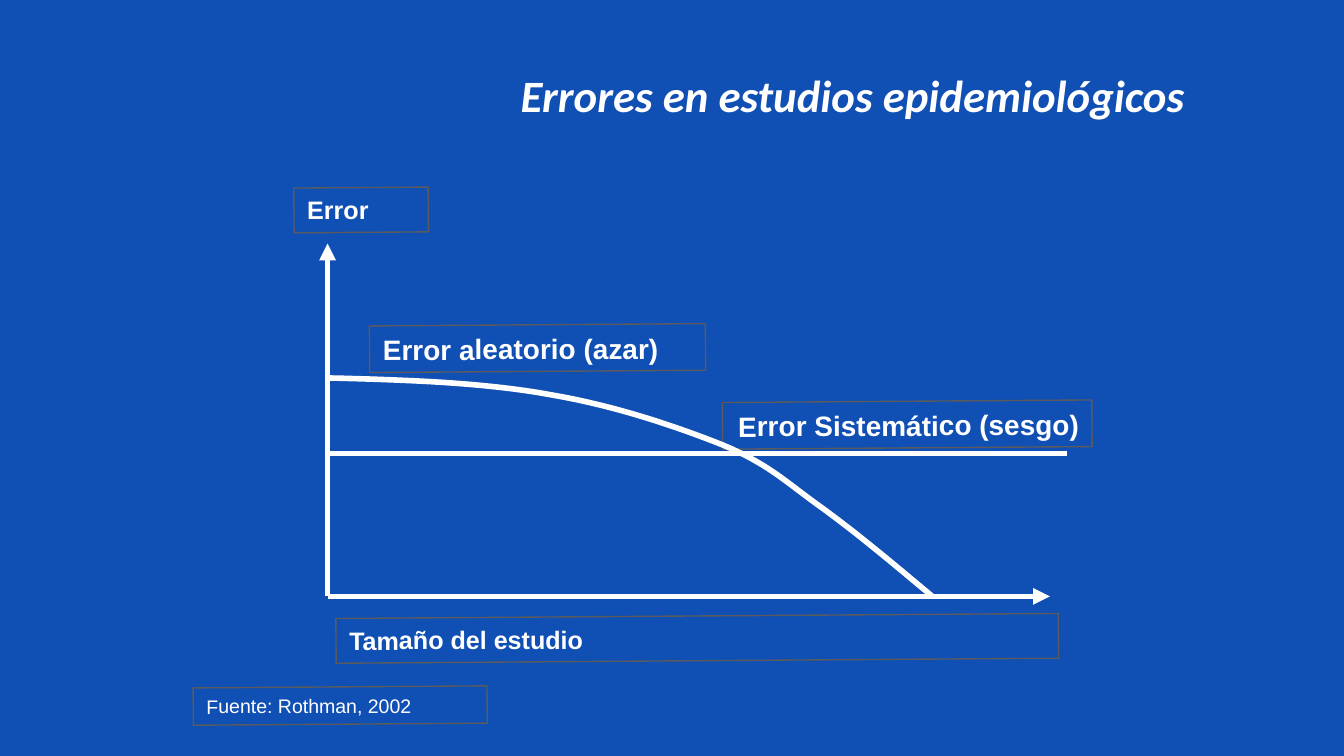
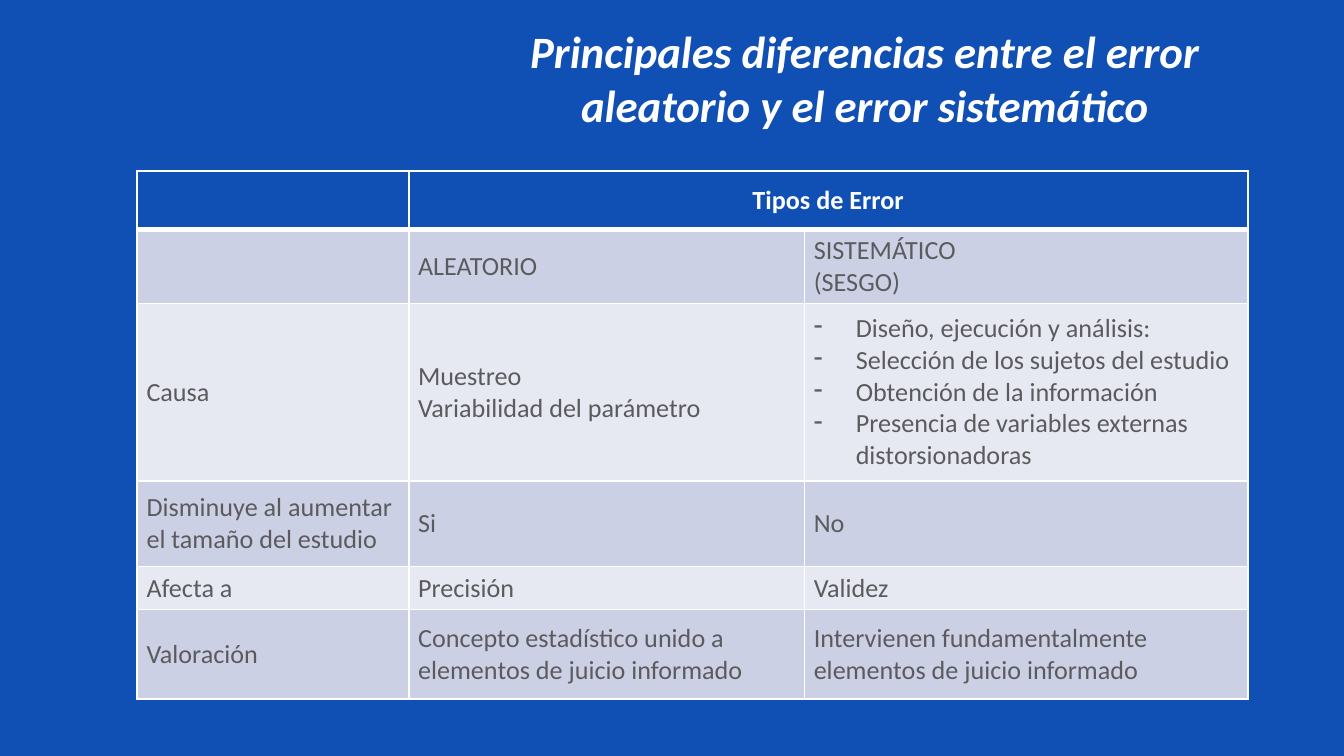
from lxml.etree import SubElement
from pptx import Presentation
from pptx.dml.color import RGBColor as Color
from pptx.enum.shapes import MSO_CONNECTOR as Connector, MSO_SHAPE as Shape
from pptx.enum.text import MSO_ANCHOR as Anchor, MSO_AUTO_SIZE as AutoSize, PP_ALIGN as Align
from pptx.oxml import parse_xml
from pptx.oxml.ns import nsdecls, qn
from pptx.util import Pt

COLOURS = {
    "blue": "104FB3",
    "white": "FFFFFF",
    "grey": "5B5B5E",
    "band_dark": "CCD0E5",
    "band_light": "E7E9F2",
}
TITLE_ONLY = 5


def colour(name):
    """Return the named colour."""
    return Color.from_string(COLOURS[name])


def bezier(start, curves, steps=16):
    """Return points along a chain of cubic curves."""
    points = []
    for first, second, end in curves:
        for step in range(1, steps + 1):
            t = step / steps
            weights = ((1 - t) ** 3, 3 * t * (1 - t) ** 2, 3 * t ** 2 * (1 - t), t ** 3)
            corners = (start, first, second, end)
            points.append(tuple(sum(w * c[axis] for w, c in zip(weights, corners))
                                for axis in (0, 1)))
        start = end
    return points


class Slides:
    """Hold the deck style and the current slide."""

    def __init__(self, width, height):
        """Start an empty deck."""
        self.deck = Presentation()
        self.deck.slide_width, self.deck.slide_height = Pt(width), Pt(height)
        self.page = None

    def start(self, title, left, top, width, height):
        """Add a blue slide with its title."""
        self.page = self.deck.slides.add_slide(self.deck.slide_layouts[TITLE_ONLY])
        background = self.page.background.fill
        background.solid()
        background.fore_color.rgb = colour("blue")
        box = self.page.shapes.title
        box.left, box.top, box.width, box.height = map(Pt, (left, top, width, height))
        frame = box.text_frame
        frame.word_wrap = True
        frame.auto_size = AutoSize.NONE
        frame.vertical_anchor = Anchor.MIDDLE
        self.add_span(frame.paragraphs[0], title, 24, "Calibri", bold=True, italic=True,
                      align=Align.CENTER)

    def add_span(self, para, text, size, font, shade="white", bold=False, italic=False,
                 align=Align.LEFT):
        """Add one formatted run to a paragraph."""
        para.alignment = align
        span = para.add_run()
        span.text = text
        span.font.size, span.font.name = Pt(size), font
        span.font.bold, span.font.italic = bold, italic
        span.font.color.rgb = colour(shade)

    def stroke(self, line):
        """Give a line the white diagram style."""
        line.color.rgb = colour("white")
        line.width = Pt(3)

    def line(self, begin, end, arrow=None):
        """Draw a straight line with an optional headEnd or tailEnd arrow."""
        link = self.page.shapes.add_connector(Connector.STRAIGHT, *map(Pt, begin + end))
        self.stroke(link.line)
        properties = link._element.spPr
        if arrow:
            SubElement(properties.find(qn("a:ln")), qn("a:" + arrow), type="triangle")
        SubElement(properties, qn("a:effectLst"))

    def curve(self, start, curves):
        """Draw an open smooth curve."""
        builder = self.page.shapes.build_freeform(Pt(start[0]), Pt(start[1]))
        builder.add_line_segments([(Pt(x), Pt(y)) for x, y in bezier(start, curves)],
                                  close=False)
        shape = builder.convert_to_shape()
        shape.shadow.inherit = False
        shape.fill.background()
        self.stroke(shape.line)

    def label(self, text, left, top, width, height, size, bold=True, align=Align.LEFT):
        """Add a slightly tilted, outlined label."""
        box = self.page.shapes.add_shape(Shape.RECTANGLE, *map(Pt, (left, top, width, height)))
        box.rotation = 359.6
        box.shadow.inherit = False
        box.fill.background()
        box.line.color.rgb = colour("grey")
        box.line.width = Pt(0.75)
        frame = box.text_frame
        frame.word_wrap = True
        frame.auto_size = AutoSize.SHAPE_TO_FIT_TEXT
        frame.vertical_anchor = Anchor.TOP
        self.add_span(frame.paragraphs[0], text, size, "Arial", bold=bold, align=align)

    def borders(self, cell, top=1, bottom=1):
        """Draw white borders around a cell."""
        properties = cell._tc.get_or_add_tcPr()
        widths = {"lnL": 1, "lnR": 1, "lnT": top, "lnB": bottom}
        for index, (side, width) in enumerate(widths.items()):
            properties.insert(index, parse_xml(
                f'<a:{side} {nsdecls("a")} w="{Pt(width)}"><a:solidFill>'
                f'<a:srgbClr val="{COLOURS["white"]}"/></a:solidFill></a:{side}>'))

    def bullet(self, para):
        """Turn a paragraph into a dash item."""
        properties = para._p.get_or_add_pPr()
        properties.set("marL", str(Pt(22.5)))
        properties.set("indent", str(Pt(-22.5)))
        SubElement(properties, qn("a:buChar"), char="-")

    def cell(self, cell, text, row):
        """Fill and format one table cell."""
        header = row == 0
        cell.fill.solid()
        band = "band_dark" if row % 2 else "band_light"
        cell.fill.fore_color.rgb = colour("blue" if header else band)
        self.borders(cell, top=3 if row == 1 else 1, bottom=3 if header else 1)
        cell.vertical_anchor = Anchor.MIDDLE
        cell.margin_left = cell.margin_right = Pt(5)
        cell.margin_top = cell.margin_bottom = Pt(2.7)
        if not text:
            return
        for index, item in enumerate(text.split("\n")):
            frame = cell.text_frame
            para = frame.add_paragraph() if index else frame.paragraphs[0]
            self.add_span(para, item.removeprefix("- "), 14, "Calibri",
                          "white" if header else "grey", bold=header,
                          align=Align.CENTER if header else Align.LEFT)
            if item.startswith("- "):
                self.bullet(para)

    def table(self, left, top, widths, heights, rows):
        """Add a banded table whose header spans the last columns."""
        table = self.page.shapes.add_table(
            len(rows), len(widths), Pt(left), Pt(top),
            Pt(sum(widths)), Pt(sum(heights))).table
        for column, width in zip(table.columns, widths):
            column.width = Pt(width)
        for line, height in zip(table.rows, heights):
            line.height = Pt(height)
        for row, texts in enumerate(rows):
            for column, text in enumerate(texts):
                self.cell(table.cell(row, column), text, row)
        table.cell(0, 1).merge(table.cell(0, len(widths) - 1))


def error_diagram(slides):
    """Build the diagram of error against study size."""
    slides.start("Errores en estudios epidemiológicos", 229.5, 29, 454.5, 43)
    origin = (175.5, 319.5)
    slides.line((175.5, 130.5), origin, "headEnd")
    slides.line(origin, (562.5, 319.5), "tailEnd")
    slides.label("Error", 157.5, 100.5, 72, 24, 13.5)
    slides.label("Tamaño del estudio", 180, 330, 387, 24, 13.5)
    slides.label("Fuente: Rothman, 2002", 103.5, 368, 157.5, 20, 10.5, bold=False)
    slides.line((175.5, 243), (571.5, 243))
    slides.label("Error Sistemático (sesgo)", 387, 215, 198, 25, 15, align=Align.RIGHT)
    slides.curve((175.5, 202.5), [
        ((217.5, 203.5), (260, 205), (295, 211.5)),
        ((330.5, 217.5), (363.5, 229), (387.5, 238.5)),
        ((411, 248.5), (419, 256.5), (437.5, 270)),
        ((456.5, 283.5), (478, 301.5), (499.5, 319.5)),
    ])
    slides.label("Error aleatorio (azar)", 198, 174, 180, 25, 15)


def error_comparison(slides):
    """Build the table comparing both kinds of error."""
    slides.start("Principales diferencias entre el error aleatorio y el error sistemático",
                 235.5, 20, 455.5, 43)
    slides.table(73.5, 91.5, [145.5, 212, 237.5], [31.5, 39.6, 95, 46, 23, 48], [
        ("", "Tipos de Error", ""),
        ("", "ALEATORIO", "SISTEMÁTICO\n(SESGO)"),
        ("Causa", "Muestreo\nVariabilidad del parámetro",
         "- Diseño, ejecución y análisis:\n"
         "- Selección de los sujetos del estudio\n"
         "- Obtención de la información\n"
         "- Presencia de variables externas distorsionadoras"),
        ("Disminuye al aumentar el tamaño del estudio", "Si", "No"),
        ("Afecta a", "Precisión", "Validez"),
        ("Valoración", "Concepto estadístico unido a elementos de juicio informado",
         "Intervienen fundamentalmente elementos de juicio informado"),
    ])


def main():
    """Build and save the deck."""
    slides = Slides(720, 405)
    error_diagram(slides)
    error_comparison(slides)
    slides.deck.save("out.pptx")


if __name__ == "__main__":
    main()
